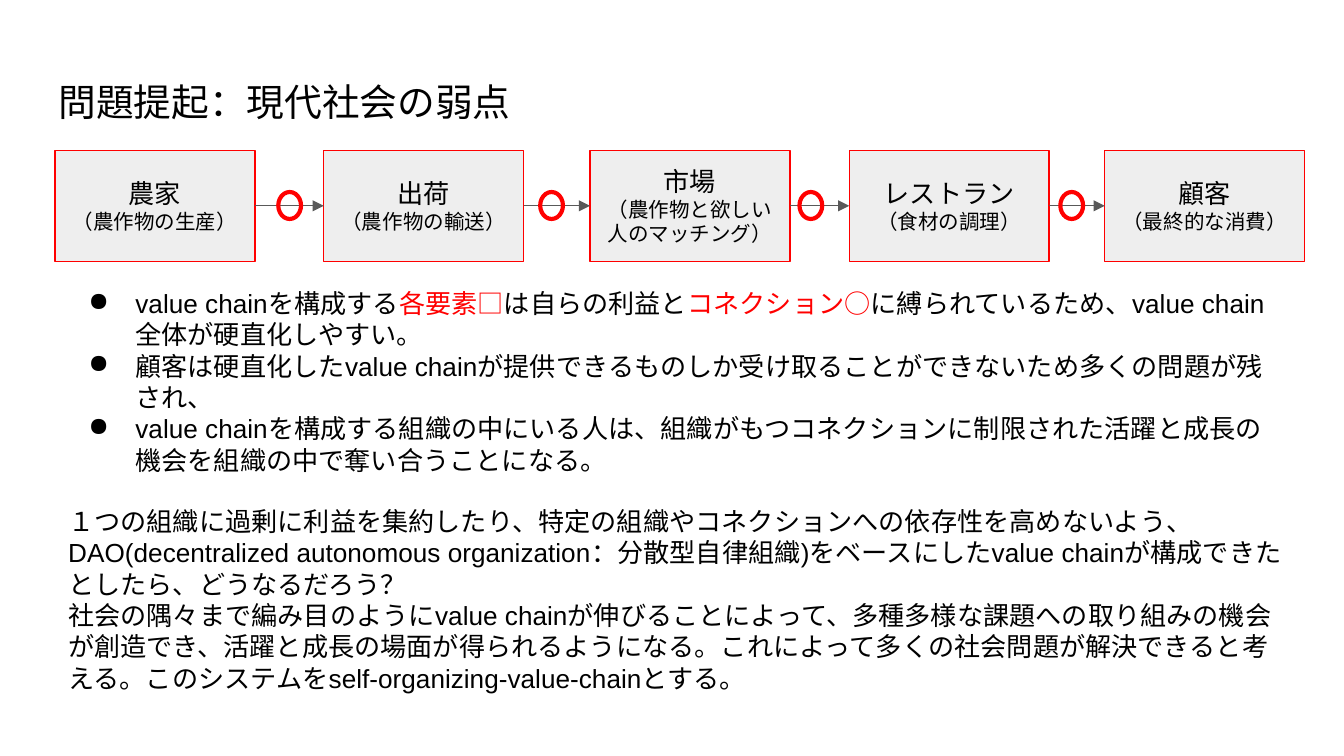
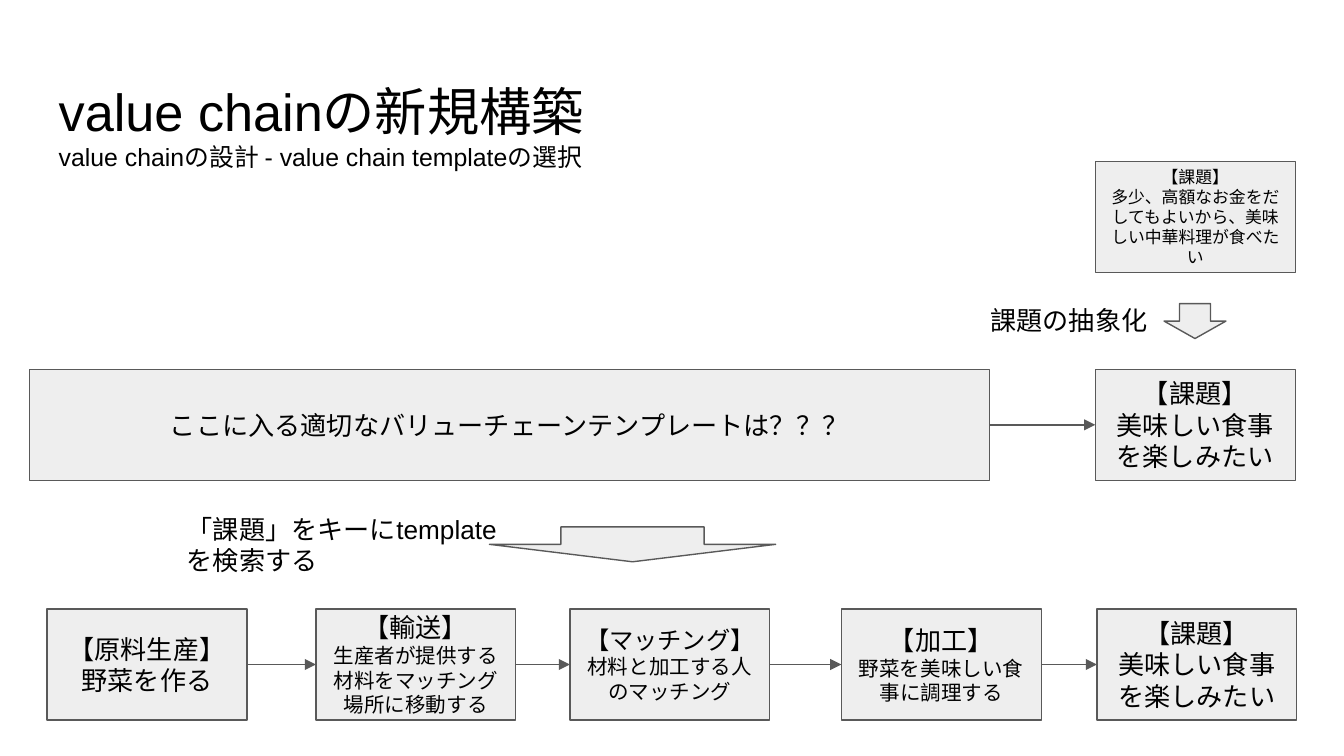
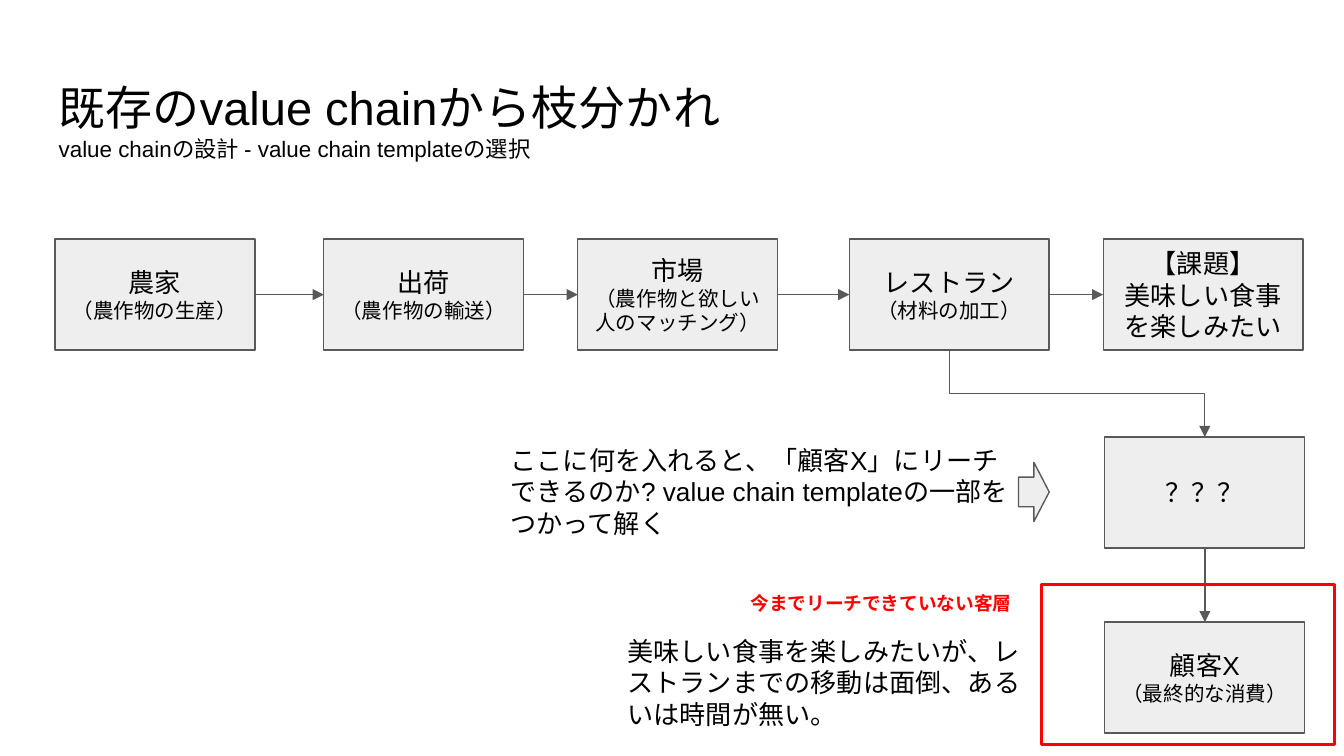
from collections.abc import Sequence
from dataclasses import dataclass

from lxml.etree import SubElement
from pptx import Presentation
from pptx.dml.color import RGBColor
from pptx.enum.shapes import MSO_CONNECTOR as Connector
from pptx.enum.shapes import MSO_SHAPE as Preset
from pptx.enum.text import MSO_ANCHOR as Anchor
from pptx.enum.text import PP_ALIGN as Align
from pptx.oxml.ns import qn
from pptx.shapes.autoshape import Shape
from pptx.shapes.connector import Connector as Link
from pptx.slide import Slide
from pptx.text.text import TextFrame
from pptx.util import Cm, Pt


@dataclass(frozen=True)
class Theme:
    """Colours, font and type sizes of the deck."""

    font: str = "Arial"
    ink: str = "000000"
    panel: str = "EEEEEE"
    outline: str = "595959"
    accent: str = "FF0000"
    body: float = 14
    tight: float = 13
    detail: float = 11
    label: float = 10
    small: float = 9
    hairline: float = 0.75


THEME = Theme()


@dataclass(frozen=True)
class Area:
    """A rectangle in centimetres."""

    left: float
    top: float
    width: float
    height: float

    def lengths(self) -> tuple[Cm, Cm, Cm, Cm]:
        """Return the rectangle as slide lengths."""
        return Cm(self.left), Cm(self.top), Cm(self.width), Cm(self.height)


@dataclass(frozen=True)
class Line:
    """A paragraph whose odd-numbered segments take the accent colour."""

    segments: tuple[str, ...]
    size: float = THEME.body
    color: str = THEME.ink
    bold: bool = False
    bullet: bool = False
    space_before: float = 0


@dataclass(frozen=True)
class Step:
    """One box of a value chain."""

    left: float
    heading: str
    detail: str
    heading_size: float = THEME.body
    detail_size: float = THEME.detail


BOX_WIDTH, BOX_HEIGHT = 3.78, 2.1
TOP, LEFT, BOTTOM, RIGHT = range(4)
SUBTITLE = "value chainの設計 - value chain templateの選択"
FARM = Step(1.04, "農家", "（農作物の生産）")
SHIPPING = Step(6.12, "出荷", "（農作物の輸送）")
MARKET = ("市場", "（農作物と欲しい人のマッチング）")
TASK = ("【課題】", "美味しい食事を楽しみたい", THEME.body, THEME.body)


def rgb(color: str) -> RGBColor:
    """Turn a hex code into a colour."""
    return RGBColor.from_string(color)


def write(frame: TextFrame, lines: Sequence[Line], align: Align, anchor: Anchor) -> None:
    """Fill a text frame with styled paragraphs."""
    frame.word_wrap = True
    frame.vertical_anchor = anchor
    frame.margin_left = frame.margin_right = Cm(0.25)
    frame.margin_top = frame.margin_bottom = Cm(0.25)
    for index, line in enumerate(lines):
        paragraph = frame.add_paragraph() if index else frame.paragraphs[0]
        paragraph.alignment = align
        if line.bullet:
            properties = paragraph._p.get_or_add_pPr()
            properties.set("marL", str(Cm(1.27)))
            properties.set("indent", str(Cm(-0.89)))
            bullet_color = SubElement(properties, qn("a:buClr"))
            SubElement(bullet_color, qn("a:srgbClr"), val=THEME.ink)
            SubElement(properties, qn("a:buChar"), char="●")
        if line.space_before:
            paragraph.space_before = Pt(line.space_before)
        font = paragraph.font
        font.name, font.size, font.bold = THEME.font, Pt(line.size), line.bold
        font.color.rgb = rgb(line.color)
        for position, segment in enumerate(line.segments):
            run = paragraph.add_run()
            run.text = segment
            if position % 2:
                run.font.color.rgb = rgb(THEME.accent)


def add_text(slide: Slide, area: Area, *lines: Line) -> None:
    """Add left-aligned text."""
    box = slide.shapes.add_textbox(*area.lengths())
    write(box.text_frame, lines, Align.LEFT, Anchor.TOP)


def add_title(slide: Slide, title: str, size: float, subtitle_size: float = 0) -> None:
    """Add the title and, when it has a size, the subtitle."""
    lines = [Line((title,), size)]
    if subtitle_size:
        lines.append(Line((SUBTITLE,), subtitle_size))
    add_text(slide, Area(0.86, 1.24, 20.22, 2.4), *lines)


def add_shape(
    slide: Slide,
    preset: Preset,
    area: Area,
    *lines: Line,
    fill: str | None = THEME.panel,
    outline: str = THEME.outline,
    weight: float = THEME.hairline,
) -> Shape:
    """Add an outlined shape with optional centred text."""
    shape = slide.shapes.add_shape(preset, *area.lengths())
    shape.shadow.inherit = False
    if fill:
        shape.fill.solid()
        shape.fill.fore_color.rgb = rgb(fill)
    else:
        shape.fill.background()
    shape.line.color.rgb = rgb(outline)
    shape.line.width = Pt(weight)
    if lines:
        write(shape.text_frame, lines, Align.CENTER, Anchor.MIDDLE)
    return shape


def add_step(slide: Slide, step: Step, top: float, outline: str = THEME.outline) -> Shape:
    """Add one box of a chain."""
    return add_shape(
        slide,
        Preset.RECTANGLE,
        Area(step.left, top, BOX_WIDTH, BOX_HEIGHT),
        Line((step.heading,), step.heading_size),
        Line((step.detail,), step.detail_size),
        outline=outline,
    )


def style_arrow(link: Link) -> None:
    """Give a connector its line and arrowhead."""
    link.line.color.rgb = rgb(THEME.outline)
    link.line.width = Pt(THEME.hairline)
    SubElement(link.line._get_or_add_ln(), qn("a:tailEnd"), type="triangle")
    SubElement(link._element.spPr, qn("a:effectLst"))


def add_arrow(slide: Slide, start: Shape, end: Shape, start_side: int = RIGHT, end_side: int = LEFT) -> None:
    """Join two shapes with a straight arrow."""
    link = slide.shapes.add_connector(Connector.STRAIGHT, 0, 0, 0, 0)
    link.begin_connect(start, start_side)
    link.end_connect(end, end_side)
    style_arrow(link)


def add_branch(slide: Slide, start: Shape, end: Shape) -> None:
    """Join the bottom of one shape to the top of another with an elbow arrow."""
    start_x, end_x = start.left + start.width // 2, end.left + end.width // 2
    start_y, end_y = start.top + start.height, end.top
    center_x, center_y = (start_x + end_x) // 2, (start_y + end_y) // 2
    half_width, half_height = (end_y - start_y) // 2, (end_x - start_x) // 2
    link = slide.shapes.add_connector(
        Connector.ELBOW,
        center_x - half_width,
        center_y - half_height,
        center_x + half_width,
        center_y + half_height,
    )
    transform = link._element.spPr.find(qn("a:xfrm"))
    transform.set("rot", str(270 * 60000))
    transform.set("flipH", "1")
    style_arrow(link)


def add_chain(slide: Slide, steps: Sequence[Step], top: float, outline: str = THEME.outline) -> list[Shape]:
    """Add a row of boxes joined by arrows."""
    boxes = [add_step(slide, step, top, outline) for step in steps]
    for start, end in zip(boxes, boxes[1:]):
        add_arrow(slide, start, end)
    return boxes


def build_problem(slide: Slide) -> None:
    """Build the slide on the weakness of fixed chains."""
    add_title(slide, "問題提起：現代社会の弱点", 20.2)
    steps = (
        FARM,
        SHIPPING,
        Step(11.15, *MARKET),
        Step(16.05, "レストラン", "（食材の調理）"),
        Step(20.88, "顧客", "（最終的な消費）"),
    )
    add_chain(slide, steps, 2.84, THEME.accent)
    add_text(
        slide,
        Area(1.04, 5.18, 23.47, 8.31),
        Line(
            (
                "value chainを構成する",
                "各要素□",
                "は自らの利益と",
                "コネクション○",
                "に縛られているため、value chain全体が硬直化しやすい。",
            ),
            bullet=True,
        ),
        Line(
            ("顧客は硬直化したvalue chainが提供できるものしか受け取ることができないため多くの問題が残され、",),
            bullet=True,
        ),
        Line(
            (
                "value chainを構成する組織の中にいる人は、組織がもつコネクションに制限された"
                "活躍と成長の機会を組織の中で奪い合うことになる。",
            ),
            bullet=True,
        ),
        Line(
            (
                "１つの組織に過剰に利益を集約したり、特定の組織やコネクションへの依存性を高めないよう、"
                "DAO(decentralized autonomous organization：分散型自律組織)をベースにした"
                "value chainが構成できたとしたら、どうなるだろう？",
            ),
            space_before=16,
        ),
        Line(
            (
                "社会の隅々まで編み目のようにvalue chainが伸びることによって、多種多様な課題への"
                "取り組みの機会が創造でき、活躍と成長の場面が得られるようになる。これによって"
                "多くの社会問題が解決できると考える。このシステムをself-organizing-value-chainとする。",
            ),
        ),
    )
    for left in (5.26, 10.21, 15.11, 20.04):
        add_shape(
            slide, Preset.OVAL, Area(left, 3.63, 0.43, 0.51), fill=None, outline=THEME.accent, weight=2.25
        )


def build_template_search(slide: Slide) -> None:
    """Build the slide on finding a template for a new chain."""
    add_title(slide, "value chainの新規構築", 28, 13.3)
    task = add_step(slide, Step(20.7, *TASK), 6.98)
    question = add_shape(
        slide,
        Preset.RECTANGLE,
        Area(0.56, 6.98, 18.14, BOX_HEIGHT),
        Line(("ここに入る適切なバリューチェーンテンプレートは？？？",)),
    )
    wish = "多少、高額なお金をだしてもよいから、美味しい中華料理が食べたい"
    add_step(slide, Step(20.7, "【課題】", wish, THEME.small, THEME.small), 3.05)
    add_shape(slide, Preset.DOWN_ARROW, Area(22, 5.74, 1.17, 0.66))
    add_text(slide, Area(18.47, 5.51, 4.34, 1.12), Line(("課題の抽象化",)))
    add_arrow(slide, question, task)
    steps = (
        Step(0.89, "【原料生産】", "野菜を作る", detail_size=THEME.body),
        Step(5.97, "【輸送】", "生産者が提供する材料をマッチング場所に移動する"),
        Step(10.77, "【マッチング】", "材料と加工する人のマッチング", THEME.tight),
        Step(15.9, "【加工】", "野菜を美味しい食事に調理する"),
        Step(20.73, *TASK),
    )
    add_chain(slide, steps, 11.51)
    add_shape(slide, Preset.DOWN_ARROW, Area(9.25, 9.96, 5.41, 0.66))
    add_text(slide, Area(3.28, 9.45, 6.47, 1.7), Line(("「課題」をキーにtemplateを検索する",)))


def build_branching(slide: Slide) -> None:
    """Build the slide on branching off an existing chain."""
    add_title(slide, "既存のvalue chainから枝分かれ", 25.2, 12)
    steps = (
        FARM,
        SHIPPING,
        Step(10.92, *MARKET),
        Step(16.05, "レストラン", "（材料の加工）"),
        Step(20.85, *TASK),
    )
    restaurant = add_chain(slide, steps, 4.52)[3]
    unknown = add_shape(
        slide, Preset.RECTANGLE, Area(20.88, 8.26, BOX_WIDTH, BOX_HEIGHT), Line(("？？？",))
    )
    customer = add_step(slide, Step(20.88, "顧客X", "（最終的な消費）"), 11.76)
    add_arrow(slide, unknown, customer, BOTTOM, TOP)
    add_branch(slide, restaurant, unknown)
    add_text(
        slide,
        Area(11.61, 11.76, 8.08, 2.31),
        Line(("美味しい食事を楽しみたいが、レストランまでの移動は面倒、あるいは時間が無い。",)),
    )
    add_text(
        slide,
        Area(9.4, 8.15, 10.13, 2.31),
        Line(("ここに何を入れると、「顧客X」にリーチできるのか? value chain templateの一部をつかって解く",)),
    )
    add_shape(slide, Preset.RIGHT_ARROW, Area(19.25, 8.74, 0.58, 1.12))
    add_shape(
        slide, Preset.RECTANGLE, Area(19.69, 11.05, 5.54, 3.02), fill=None, outline=THEME.accent, weight=1.5
    )
    add_text(
        slide,
        Area(13.94, 10.97, 5.79, 0.94),
        Line(("今までリーチできていない客層",), THEME.label, THEME.accent, bold=True),
    )


def main() -> None:
    """Build and save the deck."""
    presentation = Presentation()
    presentation.slide_width, presentation.slide_height = Cm(25.4), Cm(14.29)
    blank = presentation.slide_layouts[6]
    for build in (build_problem, build_template_search, build_branching):
        build(presentation.slides.add_slide(blank))
    presentation.save("out.pptx")


main()
